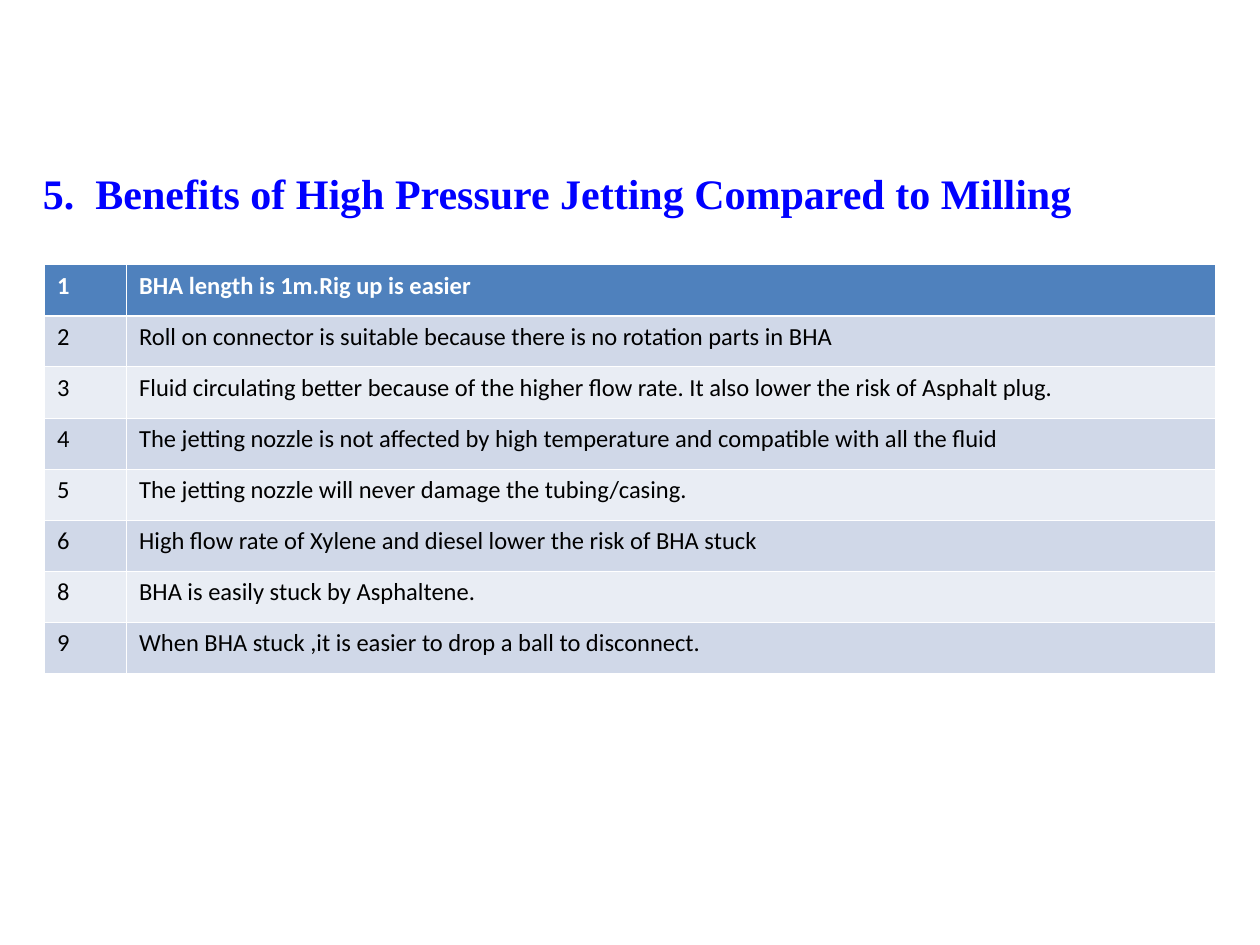
from lxml import etree
from pptx import Presentation
from pptx.dml.color import RGBColor
from pptx.enum.text import MSO_AUTO_SIZE
from pptx.oxml.ns import qn
from pptx.util import Pt

BLUE = RGBColor(0x00, 0x00, 0xFF)
HEADER = RGBColor(0x4F, 0x81, 0xBD)
BANDS = [RGBColor(0xE9, 0xED, 0xF4), RGBColor(0xD0, 0xD8, 0xE8)]
WHITE = RGBColor(0xFF, 0xFF, 0xFF)
BLACK = RGBColor(0x00, 0x00, 0x00)

BENEFITS = [
    ("1", "BHA length is 1m.Rig up is easier"),
    ("2", "Roll on connector is suitable because there is no rotation parts in BHA"),
    ("3", "Fluid circulating better because of the higher flow rate. It also lower the risk of Asphalt plug."),
    ("4", "The jetting nozzle is not affected by high temperature and compatible with all the fluid"),
    ("5", "The jetting nozzle will never damage the tubing/casing."),
    ("6", "High flow rate of Xylene and diesel lower the risk of BHA stuck"),
    ("8", "BHA is easily stuck by Asphaltene."),
    ("9", "When BHA stuck ,it is easier to drop a ball to disconnect."),
]


def set_border(cell, side, width):
    tc_pr = cell._tc.get_or_add_tcPr()
    ln = etree.SubElement(tc_pr, qn(f"a:ln{side}"), w=str(Pt(width)))
    fill = etree.SubElement(ln, qn("a:solidFill"))
    etree.SubElement(fill, qn("a:srgbClr"), val=str(WHITE))


prs = Presentation()
prs.slide_width, prs.slide_height = Pt(720), Pt(540)
s = prs.slides.add_slide(prs.slide_layouts[6])

tf = s.shapes.add_textbox(Pt(17.5), Pt(92.2), Pt(665), Pt(36)).text_frame
tf.word_wrap = True
tf.auto_size = MSO_AUTO_SIZE.SHAPE_TO_FIT_TEXT
p = tf.paragraphs[0]
p.text = "5.  Benefits of High Pressure Jetting Compared to Milling"
p.font.name = "Times New Roman"
p.font.size = Pt(24)
p.font.bold = True
p.font.color.rgb = BLUE

table = s.shapes.add_table(len(BENEFITS), 2, Pt(25.5), Pt(151.2), Pt(669), Pt(233.6)).table
table.columns[0].width = Pt(46.8)
table.columns[1].width = Pt(622.2)

for i, benefit in enumerate(BENEFITS):
    table.rows[i].height = Pt(29.2)
    for j, text in enumerate(benefit):
        cell = table.cell(i, j)
        for side in "LRTB":
            header_edge = (i, side) in [(0, "B"), (1, "T")]
            set_border(cell, side, 1.47 if header_edge else 0.45)
        cell.fill.solid()
        cell.fill.fore_color.rgb = BANDS[i % 2] if i else HEADER
        p = cell.text_frame.paragraphs[0]
        p.text = text
        p.font.name = "Calibri"
        p.font.size = Pt(14)
        p.font.bold = i == 0
        p.font.color.rgb = BLACK if i else WHITE

prs.save("out.pptx")
